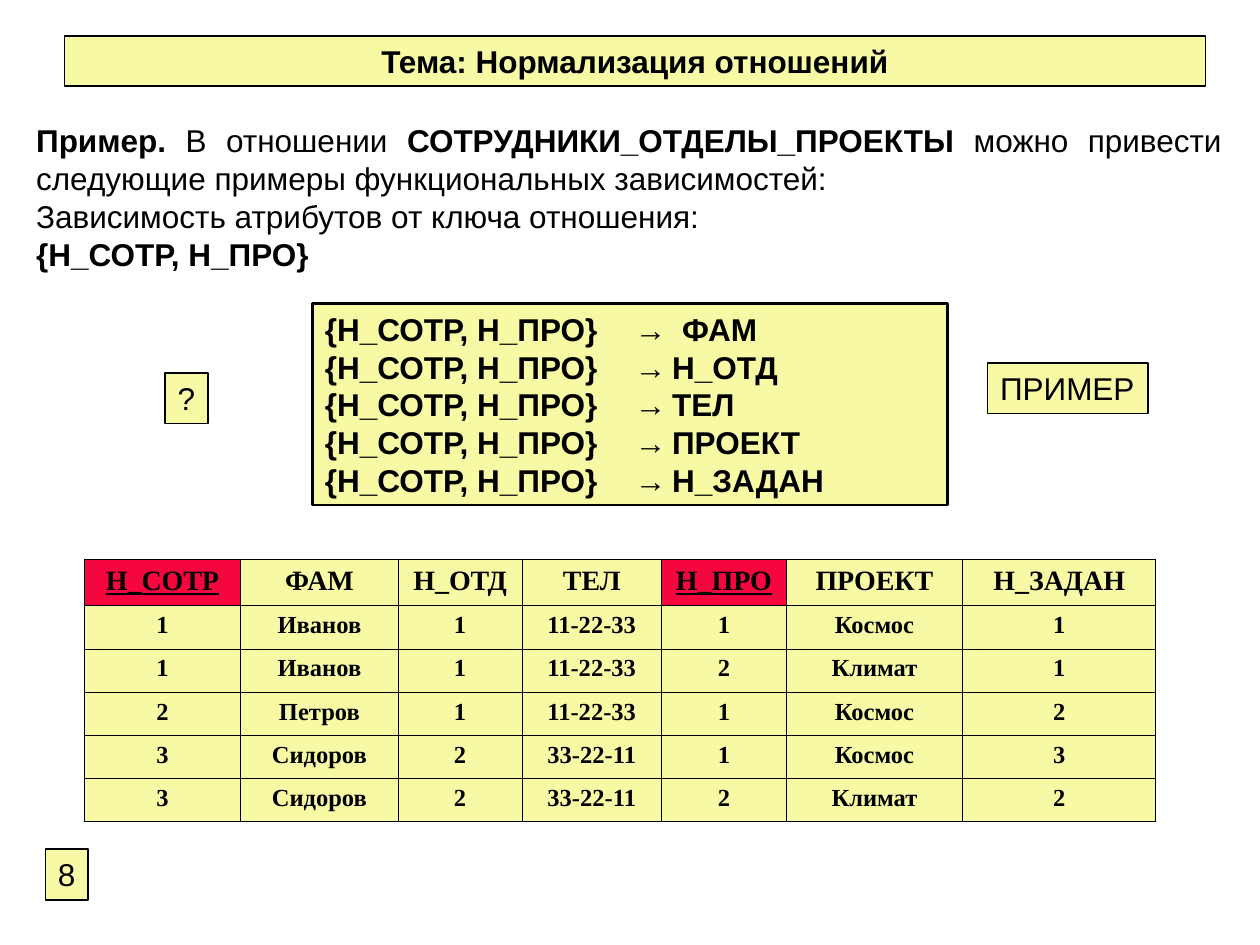
from dataclasses import dataclass

from pptx import Presentation
from pptx import util as u
from pptx.dml.color import RGBColor
from pptx.enum import shapes, text
from pptx.oxml.ns import qn
from lxml import etree


@dataclass(frozen=True)
class Theme:
    ink: RGBColor = RGBColor(0x00, 0x00, 0x00)
    panel: RGBColor = RGBColor(0xF7, 0xF9, 0xA5)
    key: RGBColor = RGBColor(0xF6, 0x06, 0x3F)
    sans: str = "Arial"
    serif: str = "Times New Roman"
    body: int = 18
    head: int = 16
    cell: int = 14
    thin: float = 0.45
    line: float = 1
    frame: float = 1.5


T = Theme()
LEFT, CENTER, JUSTIFY = text.PP_ALIGN.LEFT, text.PP_ALIGN.CENTER, text.PP_ALIGN.JUSTIFY
KEY = "{Н_СОТР, Н_ПРО}"
KEY_COLUMNS = ("Н_СОТР", "Н_ПРО")
# Each dependent attribute with its tab stop in cm
DEPENDENTS = [("ФАМ", 7.2), ("Н_ОТД", 7), ("ТЕЛ", 7), ("ПРОЕКТ", 7), ("Н_ЗАДАН", 7)]
COLUMNS = [("Н_СОТР", 3.15), ("ФАМ", 3.18), ("Н_ОТД", 2.49), ("ТЕЛ", 2.82),
           ("Н_ПРО", 2.51), ("ПРОЕКТ", 3.56), ("Н_ЗАДАН", 3.89)]
RECORDS = [
    ("1", "Иванов", "1", "11-22-33", "1", "Космос", "1"),
    ("1", "Иванов", "1", "11-22-33", "2", "Климат", "1"),
    ("2", "Петров", "1", "11-22-33", "1", "Космос", "2"),
    ("3", "Сидоров", "2", "33-22-11", "1", "Космос", "3"),
    ("3", "Сидоров", "2", "33-22-11", "2", "Климат", "2"),
]


def add_run(p, words, bold=False, size=T.body, font=T.sans, underline=False):
    r = p.add_run()
    r.text = words
    f = r.font
    f.name, f.size, f.bold, f.underline = font, u.Pt(size), bold, underline
    f.color.rgb = T.ink


def set_tabs(p, stops):
    tabs = etree.SubElement(p._p.get_or_add_pPr(), qn("a:tabLst"))
    for stop in stops:
        etree.SubElement(tabs, qn("a:tab"), pos=str(u.Cm(stop)), algn="l")


def write(tf, lines, align=LEFT, anchor=text.MSO_ANCHOR.TOP, wrap=True, tabs=None):
    """Fill a frame with paragraphs, each a list of (words, bold) runs."""
    tf.word_wrap, tf.vertical_anchor = wrap, anchor
    tf.auto_size = text.MSO_AUTO_SIZE.NONE
    for i, runs in enumerate(lines):
        p = tf.paragraphs[0] if i == 0 else tf.add_paragraph()
        p.alignment = align
        if tabs:
            set_tabs(p, tabs[i])
        for words, bold in runs:
            add_run(p, words, bold)


def paint(sp, width=T.line):
    sp.fill.solid()
    sp.fill.fore_color.rgb = T.panel
    sp.line.color.rgb = T.ink
    sp.line.width = u.Pt(width)


def panel(s, box, width=T.line):
    sp = s.shapes.add_shape(shapes.MSO_SHAPE.RECTANGLE, *map(u.Cm, box))
    sp.shadow.inherit = False
    paint(sp, width)
    return sp


def topic(s, box):
    sp = s.shapes.title
    sp.left, sp.top, sp.width, sp.height = map(u.Cm, box)
    paint(sp)
    write(sp.text_frame, [[("Тема: Нормализация отношений", True)]], CENTER)


def tag(s, box, words):
    write(panel(s, box).text_frame, [[(words, False)]], wrap=False)


def statement(s, box):
    sp = s.shapes.add_textbox(*map(u.Cm, box))
    write(sp.text_frame, [
        [("Пример.", True), (" В отношении ", False),
         ("СОТРУДНИКИ_ОТДЕЛЫ_ПРОЕКТЫ", True),
         (" можно привести следующие примеры функциональных зависимостей:", False)],
        [("Зависимость атрибутов от ключа отношения:", False)],
        [(KEY, True)],
    ], JUSTIFY, text.MSO_ANCHOR.MIDDLE)


def dependencies(s, box):
    lines = [[(KEY + "\t", True), ("→\t", False), (name, True)]
             for name, _ in DEPENDENTS]
    write(panel(s, box, T.frame).text_frame, lines, anchor=text.MSO_ANCHOR.MIDDLE,
          tabs=[(6.25, stop) for _, stop in DEPENDENTS])


def style_cell(cell, fill):
    tc_pr = cell._tc.get_or_add_tcPr()
    for side in ("lnL", "lnR", "lnT", "lnB"):
        ln = etree.SubElement(tc_pr, qn("a:" + side), w=str(u.Pt(T.thin)))
        solid = etree.SubElement(ln, qn("a:solidFill"))
        etree.SubElement(solid, qn("a:srgbClr"), val=str(T.ink))
    cell.fill.solid()
    cell.fill.fore_color.rgb = fill


def relation(s, left, top, head_height=0.93, row_height=0.87):
    names = [name for name, _ in COLUMNS]
    rows = [names, *RECORDS]
    width = sum(w for _, w in COLUMNS)
    height = head_height + row_height * len(RECORDS)
    table = s.shapes.add_table(len(rows), len(names),
                               *map(u.Cm, (left, top, width, height))).table
    table.first_row = table.horz_banding = False
    for column, (_, w) in zip(table.columns, COLUMNS):
        column.width = u.Cm(w)
    for i, values in enumerate(rows):
        head = i == 0
        table.rows[i].height = u.Cm(head_height if head else row_height)
        for j, value in enumerate(values):
            is_key = head and value in KEY_COLUMNS
            cell = table.cell(i, j)
            style_cell(cell, T.key if is_key else T.panel)
            p = cell.text_frame.paragraphs[0]
            p.alignment = CENTER
            add_run(p, value, True, T.head if head else T.cell, T.serif, is_key)


def main():
    prs = Presentation()
    prs.slide_width, prs.slide_height = u.Cm(25.4), u.Cm(19.05)
    s = prs.slides.add_slide(prs.slide_layouts[5])
    topic(s, (1.3, 0.72, 23, 1.02))
    tag(s, (19.91, 7.32, 3.23, 1.02), "ПРИМЕР")
    tag(s, (0.92, 17.12, 0.86, 1.02), "8")
    statement(s, (0.48, 2.32, 24.4, 3.3))
    dependencies(s, (6.3, 6.12, 12.8, 4.06))
    relation(s, 1.7, 11.28)
    tag(s, (3.33, 7.52, 0.86, 1.02), "?")
    prs.save("out.pptx")


if __name__ == "__main__":
    main()
